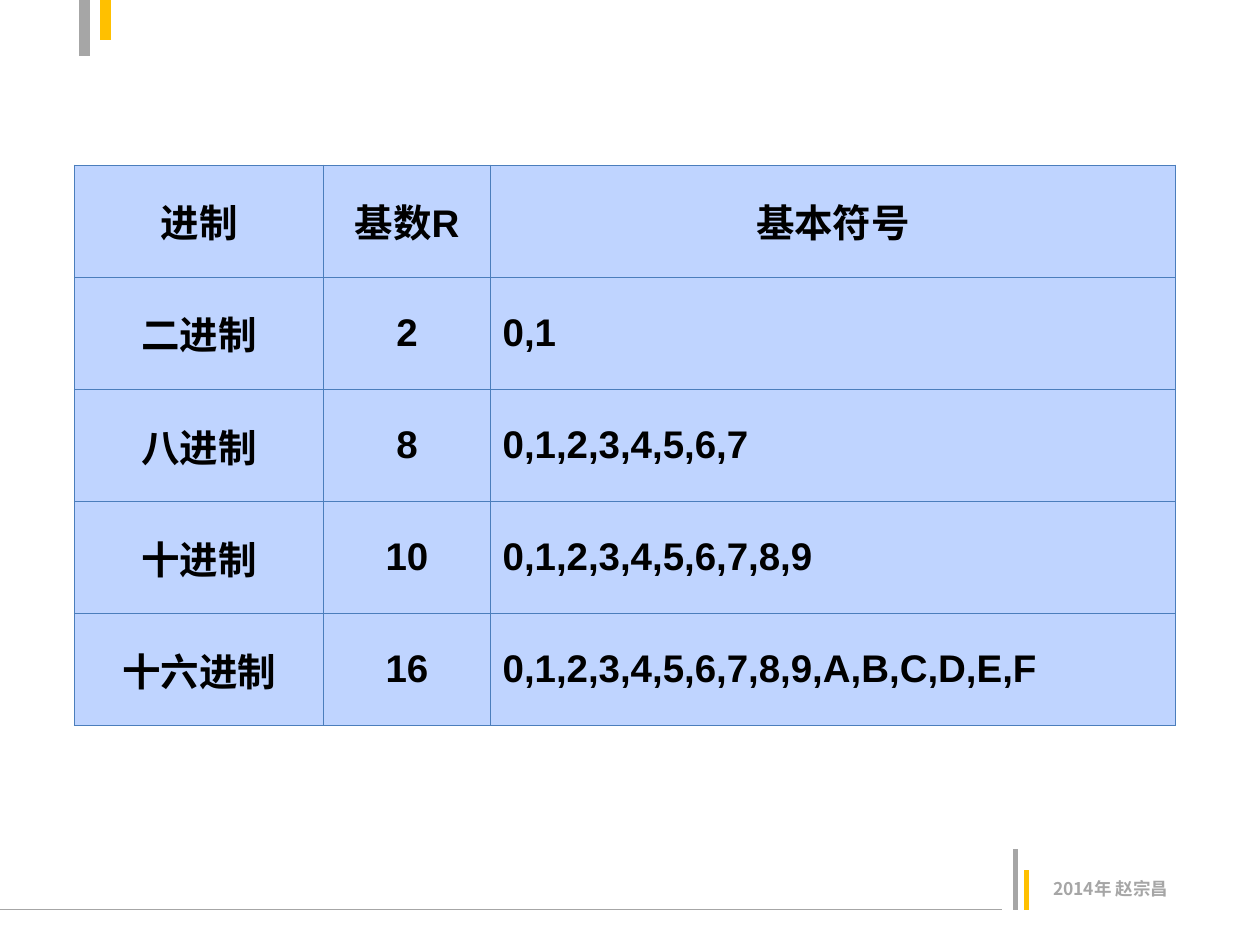
from lxml import etree
from pptx import Presentation
from pptx import util as u
from pptx.dml.color import RGBColor
from pptx.enum import shapes, text
from pptx.oxml import ns

GREY = RGBColor(0xA6, 0xA6, 0xA6)
AMBER = RGBColor(0xFF, 0xC0, 0x00)
BLACK = RGBColor(0, 0, 0)
CELL_BLUE = RGBColor(0xBF, 0xD4, 0xFF)
BORDER_BLUE = RGBColor(0x4B, 0x7E, 0xBC)


class SlideBuilder:
    latin_font = "Arial"
    chinese_font = "Noto Sans CJK SC"

    def __init__(self, slide):
        self.slide = slide

    def style_run(self, run, size, colour, font):
        run.font.size = u.Pt(size)
        run.font.bold = True
        run.font.name = font
        run.font.color.rgb = colour
        east_asian = etree.Element(ns.qn("a:ea"), typeface=self.chinese_font)
        run.font._element.find(ns.qn("a:latin")).addnext(east_asian)

    def line(self, start, end, colour, width):
        rule = self.slide.shapes.add_connector(
            shapes.MSO_CONNECTOR.STRAIGHT, *map(u.Cm, start + end))
        rule.line.color.rgb = colour
        rule.line.width = u.Pt(width)
        etree.SubElement(rule._element.spPr, ns.qn("a:effectLst"))

    def label(self, left, top, width, height, wording, size, colour):
        box = self.slide.shapes.add_textbox(*map(u.Cm, (left, top, width, height)))
        box.text_frame.word_wrap = False
        box.text_frame.text = wording
        for run in box.text_frame.paragraphs[0].runs:
            self.style_run(run, size, colour, self.chinese_font)

    def border(self, cell, colour, width):
        properties = cell._tc.get_or_add_tcPr()
        for place, side in enumerate(("lnL", "lnR", "lnT", "lnB")):
            edge = etree.Element(ns.qn("a:" + side), w=str(u.Pt(width)))
            fill = etree.SubElement(edge, ns.qn("a:solidFill"))
            etree.SubElement(fill, ns.qn("a:srgbClr"), val=str(colour))
            properties.insert(place, edge)

    def table(self, left, top, widths, row_height, rows, size):
        grid = self.slide.shapes.add_table(
            len(rows), len(widths), u.Cm(left), u.Cm(top),
            u.Cm(sum(widths)), u.Cm(row_height * len(rows))).table
        for column, width in zip(grid.columns, widths):
            column.width = u.Cm(width)
        for r, row in enumerate(rows):
            grid.rows[r].height = u.Cm(row_height)
            for c, wording in enumerate(row):
                cell = grid.cell(r, c)
                cell.fill.solid()
                cell.fill.fore_color.rgb = CELL_BLUE
                self.border(cell, BORDER_BLUE, 0.75)
                cell.vertical_anchor = text.MSO_ANCHOR.MIDDLE
                cell.text_frame.text = wording
                paragraph = cell.text_frame.paragraphs[0]
                symbols = r > 0 and c == len(widths) - 1
                paragraph.alignment = (
                    text.PP_ALIGN.LEFT if symbols else text.PP_ALIGN.CENTER)
                for run in paragraph.runs:
                    self.style_run(run, size, BLACK, self.latin_font)


def main():
    deck = Presentation()
    deck.slide_width, deck.slide_height = u.Cm(25.4), u.Cm(19.05)
    builder = SlideBuilder(deck.slides.add_slide(deck.slide_layouts[6]))

    # Footer: rule, two bars and author
    floor = 18.34
    builder.line((-0.1, floor), (20.19, floor), GREY, 0.75)
    builder.line((20.47, floor), (20.47, 17.12), GREY, 3)
    builder.line((20.7, floor), (20.7, 17.53), AMBER, 3)
    builder.label(20.98, 17.58, 3.02, 0.69, "2014年 赵宗昌", 10, GREY)

    # Bars at the top
    builder.line((1.7, 1.12), (1.7, -0.08), GREY, 6)
    builder.line((2.13, 0), (2.13, 0.8), AMBER, 6)

    # Number systems
    digits = "0123456789ABCDEF"
    systems = [("二进制", 2), ("八进制", 8), ("十进制", 10), ("十六进制", 16)]
    rows = [("进制", "基数R", "基本符号")]
    rows += [(name, str(base), ",".join(digits[:base])) for name, base in systems]
    builder.table(1.5, 3.33, (5.03, 3.35, 13.82), 2.26, rows, 22)

    deck.save("out.pptx")


if __name__ == "__main__":
    main()
